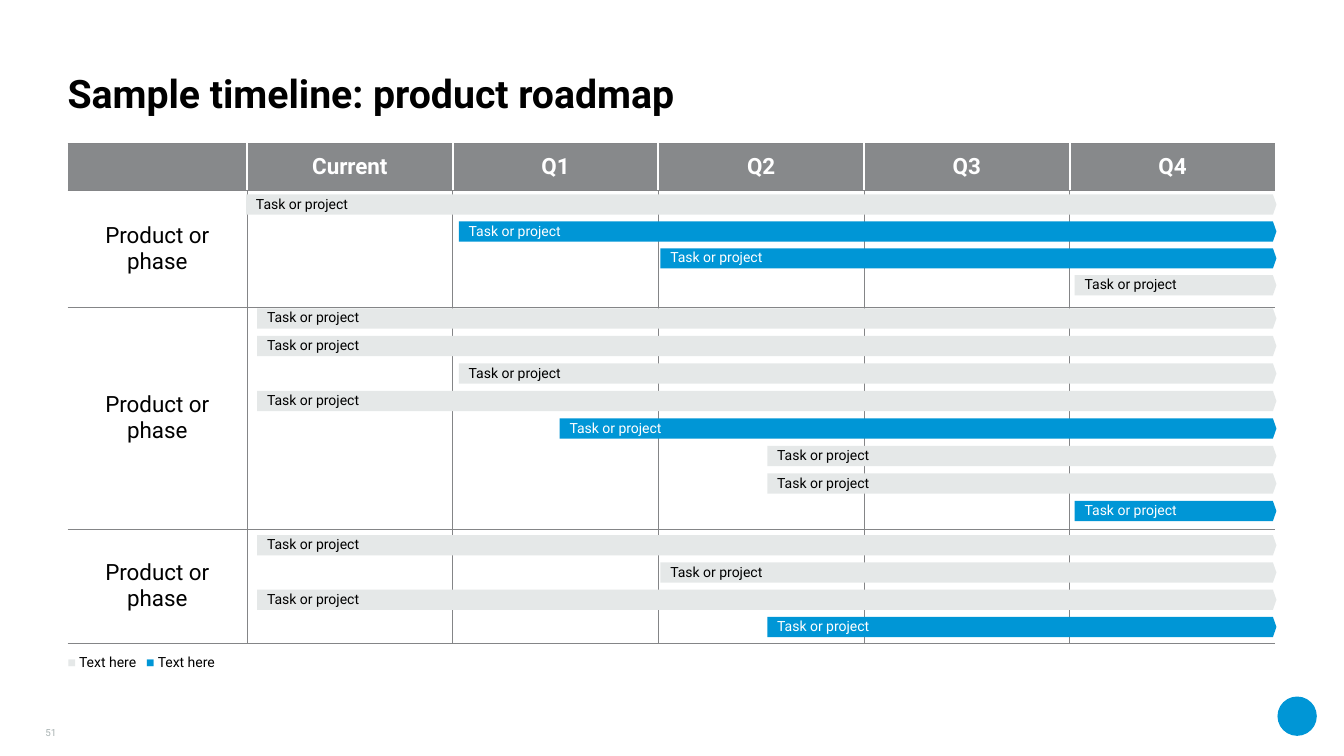
import lxml.etree
import pptx
import pptx.dml.color
import pptx.enum.shapes
import pptx.enum.text
import pptx.oxml.ns
import pptx.util

Inches = pptx.util.Inches
Pt = pptx.util.Pt
qn = pptx.oxml.ns.qn
ALIGN = pptx.enum.text.PP_ALIGN
ANCHOR = pptx.enum.text.MSO_ANCHOR
SHAPE = pptx.enum.shapes.MSO_SHAPE

COLORS = {
    "black": "000000", "white": "FFFFFF", "blue": "0096D6", "pale": "E5E8E8",
    "head": "87898B", "rule": "848587", "page": "A8B2B2",
}
LEFT, WIDTH, TIP = 0.67, 12, 12.66
QUARTERS = ["", "Current", "Q1", "Q2", "Q3", "Q4"]
COLS = [1.78] + [2.04] * 5
ROWS = [0.47, 1.16, 2.2, 1.13]

# Each phase: top of first bar, top of last bar, (left, colour) of the bars
PHASES = [
    (1.93, 2.73, [(2.44, "pale"), (4.55, "blue"), (6.55, "blue"), (10.66, "pale")]),
    (3.06, 4.97, [(2.55, "pale"), (2.55, "pale"), (4.55, "pale"), (2.55, "pale"),
                  (5.55, "blue"), (7.61, "pale"), (7.61, "pale"), (10.66, "blue")]),
    (5.31, 6.12, [(2.55, "pale"), (6.55, "pale"), (2.55, "pale"), (7.61, "blue")]),
]


def color(name):
    return pptx.dml.color.RGBColor.from_string(COLORS[name])


def write(para, text, size=10, tint="black", bold=False, face="Roboto",
          align=ALIGN.LEFT, space=1.0):
    """Add one formatted run to a paragraph."""
    para.alignment = align
    para.line_spacing = space
    run = para.add_run()
    run.text = text
    run.font.size = Pt(size)
    run.font.name = face
    run.font.bold = bold
    run.font.color.rgb = color(tint)


class Deck:
    def __init__(self):
        self.show = pptx.Presentation()
        self.show.slide_width = Inches(13.33)
        self.show.slide_height = Inches(7.5)
        self.slide = self.show.slides.add_slide(self.show.slide_layouts[5])

    def frame(self, shape, anchor, side=0):
        frame = shape.text_frame
        frame.word_wrap = True
        frame.auto_size = pptx.enum.text.MSO_AUTO_SIZE.NONE
        frame.vertical_anchor = anchor
        frame.margin_left = frame.margin_right = Inches(side)
        frame.margin_top = frame.margin_bottom = 0
        return frame.paragraphs[0]

    def title(self, text):
        shape = self.slide.shapes.title
        shape.left, shape.top = Inches(LEFT), Inches(0.33)
        shape.width, shape.height = Inches(WIDTH), Inches(0.83)
        write(self.frame(shape, ANCHOR.BOTTOM), text, size=28, bold=True, space=0.9)

    def label(self, left, top, width, height, anchor=ANCHOR.TOP):
        box = self.slide.shapes.add_textbox(
            Inches(left), Inches(top), Inches(width), Inches(height))
        return self.frame(box, anchor)

    def shape(self, kind, left, top, width, height, fill):
        item = self.slide.shapes.add_shape(
            kind, Inches(left), Inches(top), Inches(width), Inches(height))
        item.shadow.inherit = False
        item.fill.solid()
        item.fill.fore_color.rgb = color(fill)
        item.line.fill.background()
        return item

    def bar(self, left, top, fill):
        item = self.shape(SHAPE.PENTAGON, left, top, TIP - left, 0.2, fill)
        item.adjustments[0] = 0.175
        tint = "white" if fill == "blue" else "black"
        write(self.frame(item, ANCHOR.MIDDLE, 0.1), "Task or project", tint=tint, space=0.9)

    def edge(self, cell, side, tint, width):
        line = lxml.etree.SubElement(cell._tc.get_or_add_tcPr(), qn("a:ln" + side))
        if tint is None:
            line.set("w", "0")
            lxml.etree.SubElement(line, qn("a:noFill"))
            return
        line.set("w", str(Pt(width)))
        fill = lxml.etree.SubElement(line, qn("a:solidFill"))
        lxml.etree.SubElement(fill, qn("a:srgbClr")).set("val", COLORS[tint])

    def cell(self, cell, row, col):
        head = row == 0
        cell.vertical_anchor = ANCHOR.MIDDLE
        cell.margin_left = cell.margin_right = Inches(0.13)
        cell.margin_top = cell.margin_bottom = Inches(0.05)
        # Borders come before the fill; the outer sides stay open
        inner = ("white", 1.5) if head else ("rule", 0.75)
        none = (None, 0)
        self.edge(cell, "L", *(inner if col else none))
        self.edge(cell, "R", *(inner if col < len(COLS) - 1 else none))
        self.edge(cell, "T", "rule", 0.75)
        self.edge(cell, "B", "rule", 0.75)
        if head:
            cell.fill.solid()
            cell.fill.fore_color.rgb = color("head")
        else:
            cell.fill.background()
        text = QUARTERS[col] if head else "Product or phase" if col == 0 else ""
        if text:
            write(cell.text_frame.paragraphs[0], text, size=16, bold=head,
                  tint="white" if head else "black", align=ALIGN.CENTER)

    def grid(self):
        table = self.slide.shapes.add_table(
            len(ROWS), len(COLS), Inches(LEFT), Inches(1.42),
            Inches(WIDTH), Inches(sum(ROWS))).table
        table.first_row = table.horz_banding = False
        for col, width in enumerate(COLS):
            table.columns[col].width = Inches(width)
        for row, height in enumerate(ROWS):
            table.rows[row].height = Inches(height)
            for col in range(len(COLS)):
                self.cell(table.cell(row, col), row, col)

    def legend(self):
        para = self.label(LEFT, 6.48, WIDTH, 0.17)
        tabs = lxml.etree.SubElement(para._p.get_or_add_pPr(), qn("a:tabLst"))
        stop = lxml.etree.SubElement(tabs, qn("a:tab"))
        stop.set("pos", str(Inches(0.78)))
        stop.set("algn", "l")
        for tint, text in [("pale", " Text here\t"), ("blue", " Text here")]:
            write(para, "■", tint=tint, face="Arial")
            write(para, text)


def main():
    deck = Deck()
    deck.title("Sample timeline: product roadmap")
    deck.grid()

    # Task bars, evenly spaced within each phase
    for first, last, bars in PHASES:
        step = (last - first) / (len(bars) - 1)
        for spot, (left, fill) in enumerate(bars):
            deck.bar(left, first + spot * step, fill)

    # Legend, page number and corner disc
    deck.legend()
    write(deck.label(0.23, 7.09, 0.33, 0.24, ANCHOR.BOTTOM), "51",
          size=7, tint="page", align=ALIGN.RIGHT)
    deck.shape(SHAPE.OVAL, 12.67, 6.91, 0.39, 0.39, "blue")
    deck.show.save("out.pptx")


if __name__ == "__main__":
    main()
